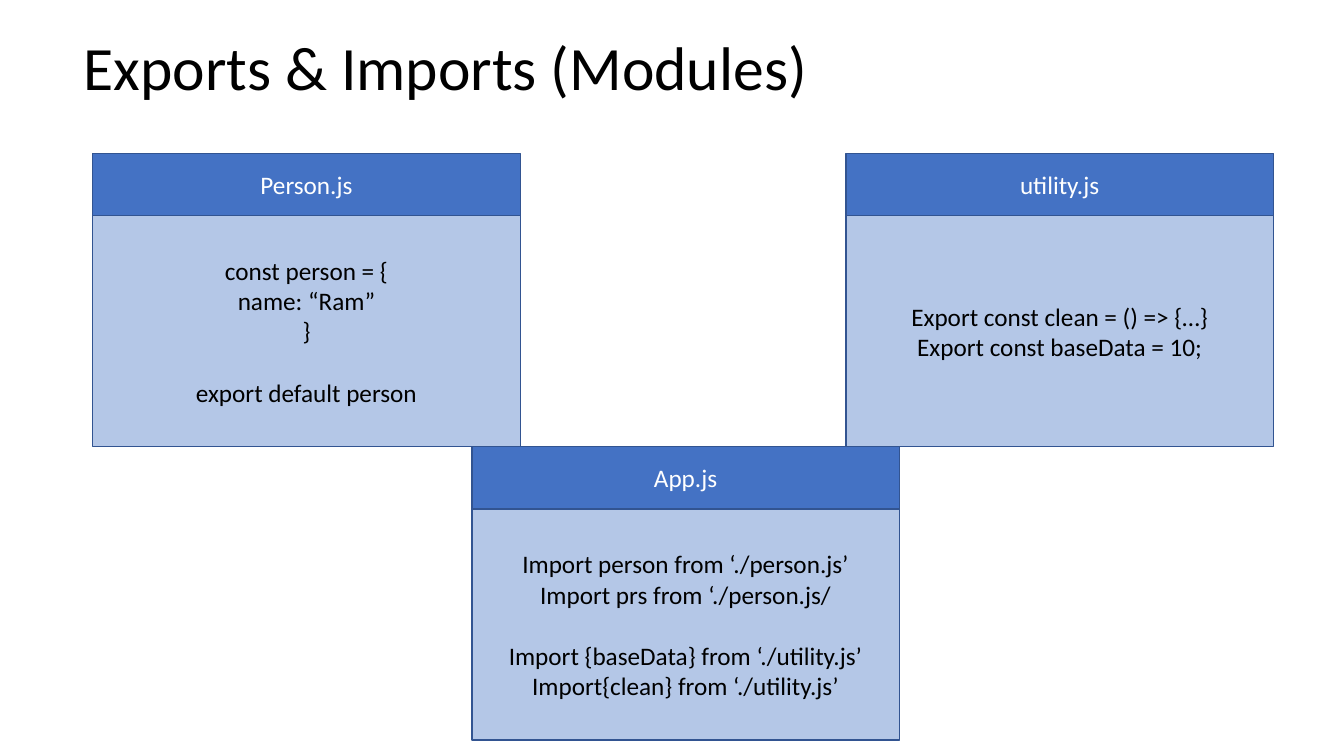
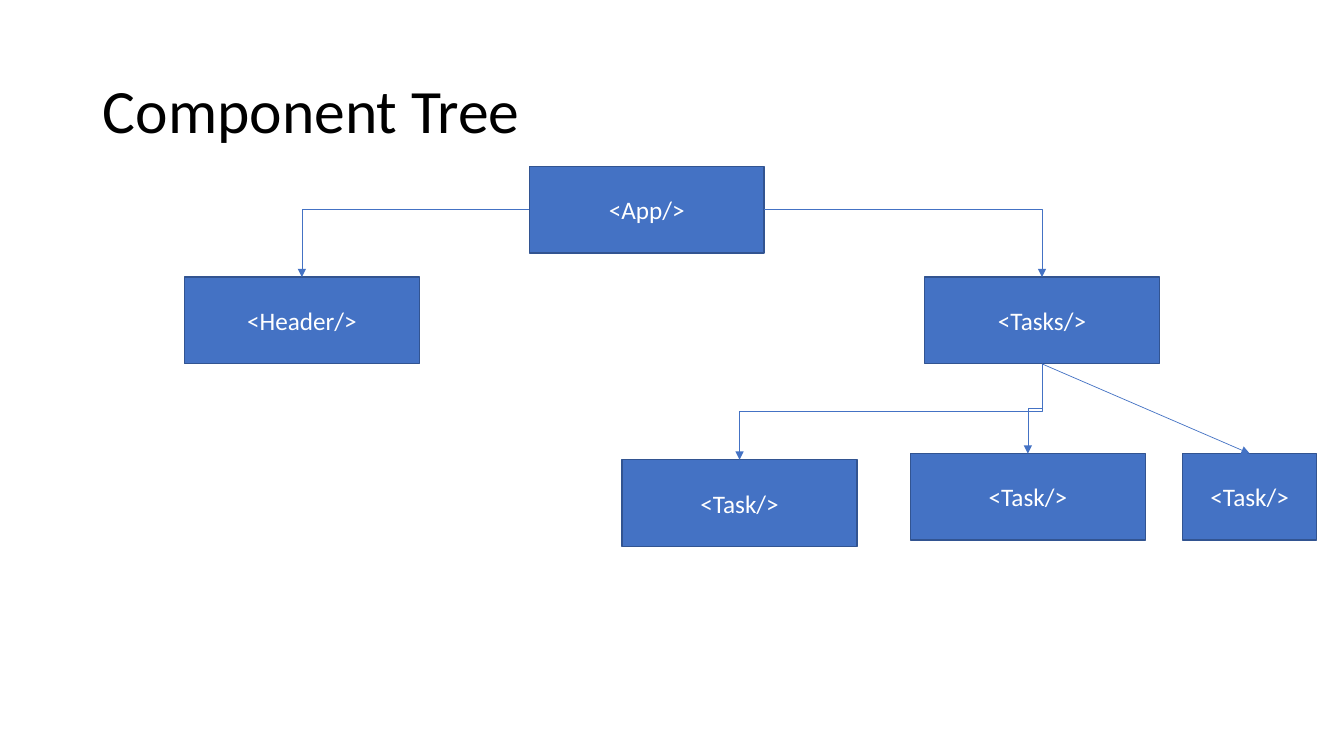
import dataclasses

import pptx
import pptx.dml.color
import pptx.enum.shapes
import pptx.enum.text
import pptx.oxml
import pptx.oxml.ns
import pptx.util

PX = pptx.util.Inches(0.01)  # one px is a hundredth of an inch
RGB = pptx.dml.color.RGBColor
ALIGN = pptx.enum.text.PP_ALIGN
CONNECTOR = pptx.enum.shapes.MSO_CONNECTOR
qn = pptx.oxml.ns.qn


@dataclasses.dataclass(frozen=True)
class Theme:
    font: str = "Calibri"
    title_size: int = 44
    body_size: int = 18
    stanza_gap: int = 22
    ink: RGB = RGB.from_string("000000")
    paper: RGB = RGB.from_string("FFFFFF")
    accent: RGB = RGB.from_string("4472C4")
    tint: RGB = RGB.from_string("B4C7E7")
    edge: RGB = RGB.from_string("325491")


THEME = Theme()


def write(frame, text, *, color, size=THEME.body_size, align=ALIGN.CENTER,
          line_spacing=None, gap_before=None):
    """Fill a text frame, one paragraph a line; gap_before is a line's index."""
    frame.word_wrap = True
    frame.vertical_anchor = pptx.enum.text.MSO_ANCHOR.MIDDLE
    for index, line in enumerate(text.split("\n")):
        paragraph = frame.add_paragraph() if index else frame.paragraphs[0]
        paragraph.alignment = align
        paragraph.line_spacing = line_spacing
        if index and index == gap_before:
            paragraph.space_before = pptx.util.Pt(THEME.stanza_gap)
        run = paragraph.add_run()
        run.text = line
        run.font.name = THEME.font
        run.font.size = pptx.util.Pt(size)
        run.font.color.rgb = color


def add_box(slide, left, top, width, height, text, *, fill=THEME.accent,
            color=THEME.paper, gap_before=None):
    box = slide.shapes.add_shape(
        pptx.enum.shapes.MSO_SHAPE.RECTANGLE,
        left * PX, top * PX, width * PX, height * PX)
    box.shadow.inherit = False
    box.fill.solid()
    box.fill.fore_color.rgb = fill
    box.line.color.rgb = THEME.edge
    box.line.width = pptx.util.Pt(1)
    write(box.text_frame, text, color=color, gap_before=gap_before)
    return box


deck = pptx.Presentation()
deck.slide_width, deck.slide_height = 1333 * PX, 750 * PX

# Slides and their titles
slides = []
for heading, left, top, width, height in (
    ("Exports & Imports (Modules)", 73, 30, 819, 79),
    ("Component Tree", 92, 40, 1150, 145),
):
    slide = deck.slides.add_slide(deck.slide_layouts[5])
    title = slide.shapes.title
    title.left, title.top = left * PX, top * PX
    title.width, title.height = width * PX, height * PX
    title.text_frame.auto_size = pptx.enum.text.MSO_AUTO_SIZE.NONE
    write(title.text_frame, heading, color=THEME.ink, size=THEME.title_size,
          align=ALIGN.LEFT, line_spacing=0.9)
    slides.append(slide)
modules_slide, tree_slide = slides

# Modules: a file name band above its code
MODULE_WIDTH, NAME_HEIGHT, CODE_HEIGHT = 424, 62, 229
UPPER_TOP = 152
LOWER_TOP = UPPER_TOP + NAME_HEIGHT + CODE_HEIGHT
modules = (
    ("Person.js", 92, UPPER_TOP, 3,
     "const person = {\nname: “Ram”\n}\nexport default person"),
    ("utility.js", 839, UPPER_TOP, None,
     "Export const clean = () => {…}\nExport const baseData = 10;"),
    ("App.js", 468, LOWER_TOP, 2,
     "Import person from ‘./person.js’\nImport prs from ‘./person.js/\n"
     "Import {baseData} from ‘./utility.js’\nImport{clean} from ‘./utility.js’"),
)
for file_name, left, top, gap_before, code in modules:
    add_box(modules_slide, left, top, MODULE_WIDTH, NAME_HEIGHT, file_name)
    add_box(modules_slide, left, top + NAME_HEIGHT, MODULE_WIDTH, CODE_HEIGHT,
            code, fill=THEME.tint, color=THEME.ink, gap_before=gap_before)

# Component tree: nodes
NODE_WIDTH, NARROW_WIDTH, NODE_HEIGHT = 233, 133, 86
app, header, tasks, first_task, second_task, third_task = (
    add_box(tree_slide, left, top, width, NODE_HEIGHT, tag)
    for tag, left, top, width in (
        ("<App/>", 525, 165, NODE_WIDTH),
        ("<Header/>", 183, 275, NODE_WIDTH),
        ("<Tasks/>", 917, 275, NODE_WIDTH),
        ("<Task/>", 617, 456, NODE_WIDTH),
        ("<Task/>", 903, 450, NODE_WIDTH),
        ("<Task/>", 1173, 450, NARROW_WIDTH),
    )
)

# Component tree: arrows from a parent's side to the top of its child
TOP, LEFT, BOTTOM, RIGHT = range(4)
for parent, side, child, kind in (
    (app, LEFT, header, CONNECTOR.ELBOW),
    (app, RIGHT, tasks, CONNECTOR.ELBOW),
    (tasks, BOTTOM, first_task, CONNECTOR.ELBOW),
    (tasks, BOTTOM, second_task, CONNECTOR.ELBOW),
    (tasks, BOTTOM, third_task, CONNECTOR.STRAIGHT),
):
    arrow = tree_slide.shapes.add_connector(kind, 0, 0, 0, 0)
    arrow.begin_connect(parent, side)
    arrow.end_connect(child, TOP)
    arrow.line.color.rgb = THEME.accent
    arrow.line.width = pptx.util.Pt(0.5)
    properties = arrow._element.spPr
    line_xml = arrow.line._get_or_add_ln()
    line_xml.append(pptx.oxml.parse_xml(
        f'<a:tailEnd {pptx.oxml.ns.nsdecls("a")} type="triangle"/>'))
    properties.append(pptx.oxml.parse_xml(
        f'<a:effectLst {pptx.oxml.ns.nsdecls("a")}/>'))
    if kind == CONNECTOR.ELBOW and side == BOTTOM:
        # Leaves downwards: turn the frame a quarter about its centre
        left, top, width, height = arrow.left, arrow.top, arrow.width, arrow.height
        arrow.left, arrow.top = left + (width - height) // 2, top + (height - width) // 2
        arrow.width, arrow.height = height, width
        frame = properties.find(qn("a:xfrm"))
        frame.attrib.pop("flipH", None)
        frame.set("rot", str(90 * 60000))
    elif kind == CONNECTOR.ELBOW:
        # Leaves sideways: a single corner
        properties.find(qn("a:prstGeom")).set("prst", "bentConnector2")

deck.save("out.pptx")
